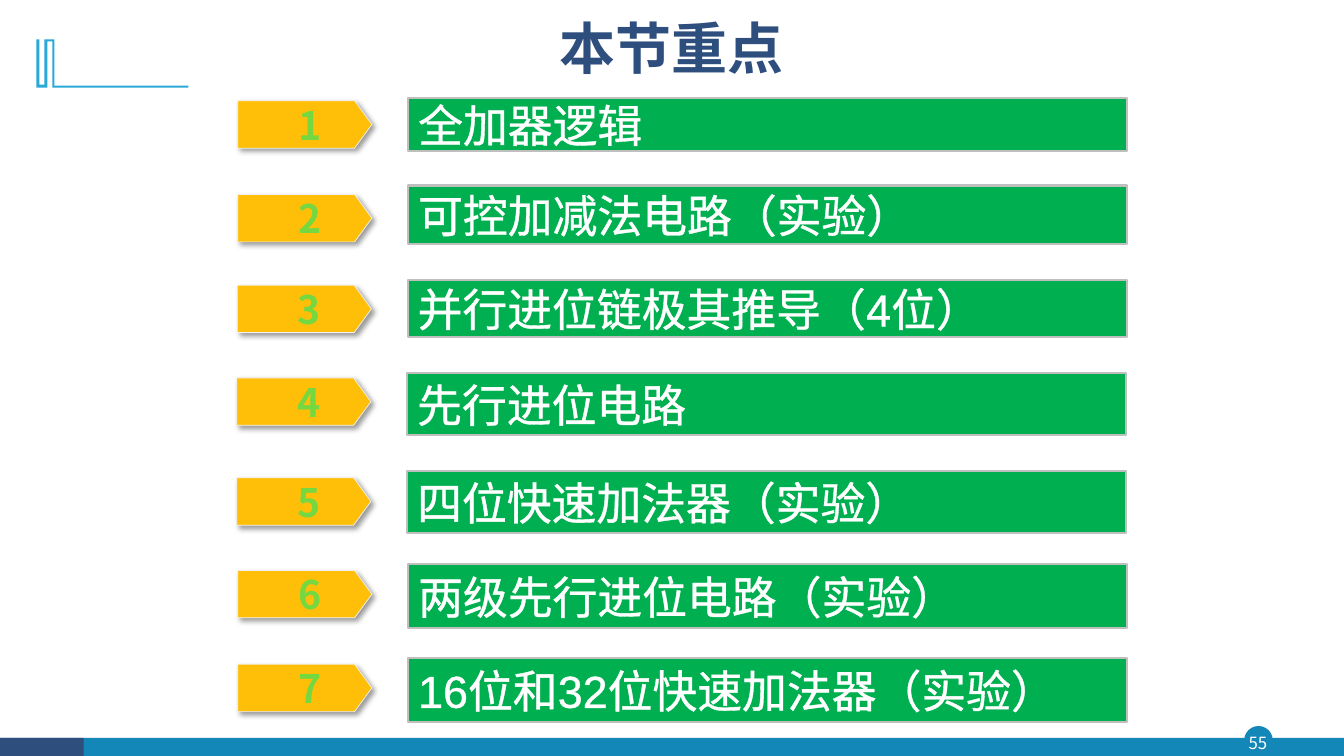
from dataclasses import dataclass

from pptx import Presentation
from pptx import util as u
from pptx.dml.color import RGBColor
from pptx.enum import shapes, text
from pptx.oxml import ns, parse_xml

CELL = u.Inches(0.1)  # grid cell: positions below are columns and rows of this size
COLUMNS, ROWS = 133.33, 75
HEADING_FONT, BODY_FONT = "Noto Sans CJK SC", "Arial"
COLORS = {
    "white": "FFFFFF", "navy": "2E4E7E", "blue": "1387B7", "sky": "28A9D6",
    "amber": "FFBF09", "amber_edge": "F2F2F2", "green": "00B050",
    "green_edge": "BFBFBF", "shadow": "000000",
    "number_dark": "336F0A", "number": "75D840", "number_pale": "F2FBEE",
}
NUMBER_STOPS = ((0, "number_dark"), (78, "number"), (100, "number_pale"))


@dataclass(frozen=True)
class Box:
    column: float
    row: float
    width: float
    height: float

    def lengths(self) -> tuple[int, ...]:
        return tuple(round(value * CELL)
                     for value in (self.column, self.row, self.width, self.height))


@dataclass(frozen=True)
class Topic:
    wording: str
    arrow_row: float
    bar_row: float
    bar_height: float
    shift: float = 0  # small sideways offset of the whole line


TOPICS = (
    Topic("全加器逻辑", 10.0, 9.7, 5.3),
    Topic("可控加减法电路（实验）", 19.3, 18.4, 5.8),
    Topic("并行进位链极其推导（4位）", 28.3, 27.8, 5.6, -0.05),
    Topic("先行进位电路", 37.5, 37.0, 6.2, -0.1),
    Topic("四位快速加法器（实验）", 47.4, 46.7, 6.2, -0.1),
    Topic("两级先行进位电路（实验）", 56.6, 56.0, 6.3),
    Topic("16位和32位快速加法器（实验）", 65.9, 65.3, 6.3),
)
CORNER_OUTLINE = (  # hundredths of an inch
    (54, 39), (54, 85), (187, 85), (187, 87), (52, 87), (52, 41), (47, 41),
    (47, 87), (36, 87), (36, 39), (39, 39), (39, 84), (44, 84), (44, 39),
)


def rgb(name: str) -> RGBColor:
    return RGBColor.from_string(COLORS[name])


def drawing_element(markup: str):
    """Parse DrawingML whose root tag has the prefix a."""
    head, rest = markup.split(">", 1)
    return parse_xml(f"{head} {ns.nsdecls('a')}>{rest}")


def paint(shape, fill: str, edge: str | None = None, points: float = 1) -> None:
    shape.shadow.inherit = False
    shape.fill.solid()
    shape.fill.fore_color.rgb = rgb(fill)
    if edge:
        shape.line.color.rgb = rgb(edge)
        shape.line.width = u.Pt(points)
    else:
        shape.line.fill.background()


def add_block(slide, preset, box: Box, fill: str, edge: str | None = None, points: float = 1):
    shape = slide.shapes.add_shape(preset, *box.lengths())
    paint(shape, fill, edge, points)
    return shape


def write(shape, wording: str, *, size: float, color: str = "white", font: str = HEADING_FONT,
          bold: bool = False, align=text.PP_ALIGN.CENTER, margins=None, wrap: bool = True):
    """Fill a shape with one formatted line, centred in height, and return its run."""
    frame = shape.text_frame
    frame.word_wrap = wrap
    frame.auto_size = text.MSO_AUTO_SIZE.NONE
    frame.vertical_anchor = text.MSO_ANCHOR.MIDDLE
    if margins is not None:
        (frame.margin_left, frame.margin_top,
         frame.margin_right, frame.margin_bottom) = (u.Inches(value) for value in margins)
    paragraph = frame.paragraphs[0]
    paragraph.alignment = align
    run = paragraph.add_run()
    run.text = wording
    run.font.size, run.font.bold, run.font.name = u.Pt(size), bold, font
    run.font.color.rgb = rgb(color)
    properties = run.font._element
    latin = properties.find(ns.qn("a:latin"))
    latin.addnext(drawing_element(f'<a:ea typeface="{HEADING_FONT}"></a:ea>'))
    return run


def add_shadow(shape) -> None:
    effects = shape._element.spPr.find(ns.qn("a:effectLst"))
    effects.append(drawing_element(
        f'<a:outerShdw blurRad="{u.Pt(4)}" dist="{u.Pt(3)}" dir="2700000" algn="tl" '
        f'rotWithShape="0"><a:srgbClr val="{COLORS["shadow"]}">'
        '<a:alpha val="40000"/></a:srgbClr></a:outerShdw>'))


def add_number_arrow(slide, number: int, topic: Topic) -> None:
    box = Box(23.6 + topic.shift, topic.arrow_row, 13.3, 4.7)
    arrow = add_block(slide, shapes.MSO_SHAPE.PENTAGON, box, "amber", "amber_edge", 0.5)
    arrow.adjustments[0] = 0.365
    add_shadow(arrow)
    run = write(arrow, str(number), size=28, color="number", bold=True, margins=(0.18, 0, 0, 0))
    stops = "".join(f'<a:gs pos="{share * 1000}"><a:srgbClr val="{COLORS[name]}"/></a:gs>'
                    for share, name in NUMBER_STOPS)
    properties = run.font._element
    properties.replace(properties.find(ns.qn("a:solidFill")), drawing_element(
        f'<a:gradFill><a:gsLst>{stops}</a:gsLst><a:lin ang="5400000" scaled="0"/></a:gradFill>'))


def add_topic_bar(slide, topic: Topic) -> None:
    box = Box(40.5 + topic.shift, topic.bar_row, 71.35, topic.bar_height)
    bar = add_block(slide, shapes.MSO_SHAPE.RECTANGLE, box, "green", "green_edge", 1.5)
    run = write(bar, topic.wording, size=32, font=BODY_FONT, align=text.PP_ALIGN.LEFT)
    run.font._element.insert(0, drawing_element(
        f'<a:ln w="{u.Pt(0.75)}"><a:solidFill><a:srgbClr val="{COLORS["white"]}"/>'
        '</a:solidFill></a:ln>'))


def add_frame(slide) -> None:
    """Draw the footer band, the page number and the corner ornament."""
    add_block(slide, shapes.MSO_SHAPE.OVAL, Box(123.5, 72.1, 2.7, 2.7), "blue", "blue")
    add_block(slide, shapes.MSO_SHAPE.RECTANGLE, Box(0, 73.2, COLUMNS, 1.8), "blue")
    add_block(slide, shapes.MSO_SHAPE.RECTANGLE, Box(0, 73.2, 8.3, 1.8), "navy")
    page_number = slide.shapes.add_textbox(*Box(123.2, 72.1, 3.2, 3.1).lengths())
    write(page_number, "55", size=12, margins=(0, 0, 0, 0))
    builder = slide.shapes.build_freeform(*CORNER_OUTLINE[0], scale=u.Inches(0.01))
    builder.add_line_segments(CORNER_OUTLINE[1:], close=True)
    paint(builder.convert_to_shape(), "sky")


def add_title(slide, wording: str) -> None:
    title = slide.shapes.title
    title.left, title.top, title.width, title.height = Box(31, 0.9, 71.3, 8.3).lengths()
    write(title, wording, size=40, color="navy", bold=True)
    title.text_frame.paragraphs[0].line_spacing = 0.9


def main() -> None:
    presentation = Presentation()
    presentation.slide_width = round(COLUMNS * CELL)
    presentation.slide_height = ROWS * CELL
    slide = presentation.slides.add_slide(presentation.slide_layouts.get_by_name("Title Only"))
    add_frame(slide)
    add_title(slide, "本节重点")
    for number, topic in enumerate(TOPICS, start=1):
        add_number_arrow(slide, number, topic)
        add_topic_bar(slide, topic)
    presentation.save("out.pptx")


if __name__ == "__main__":
    main()
